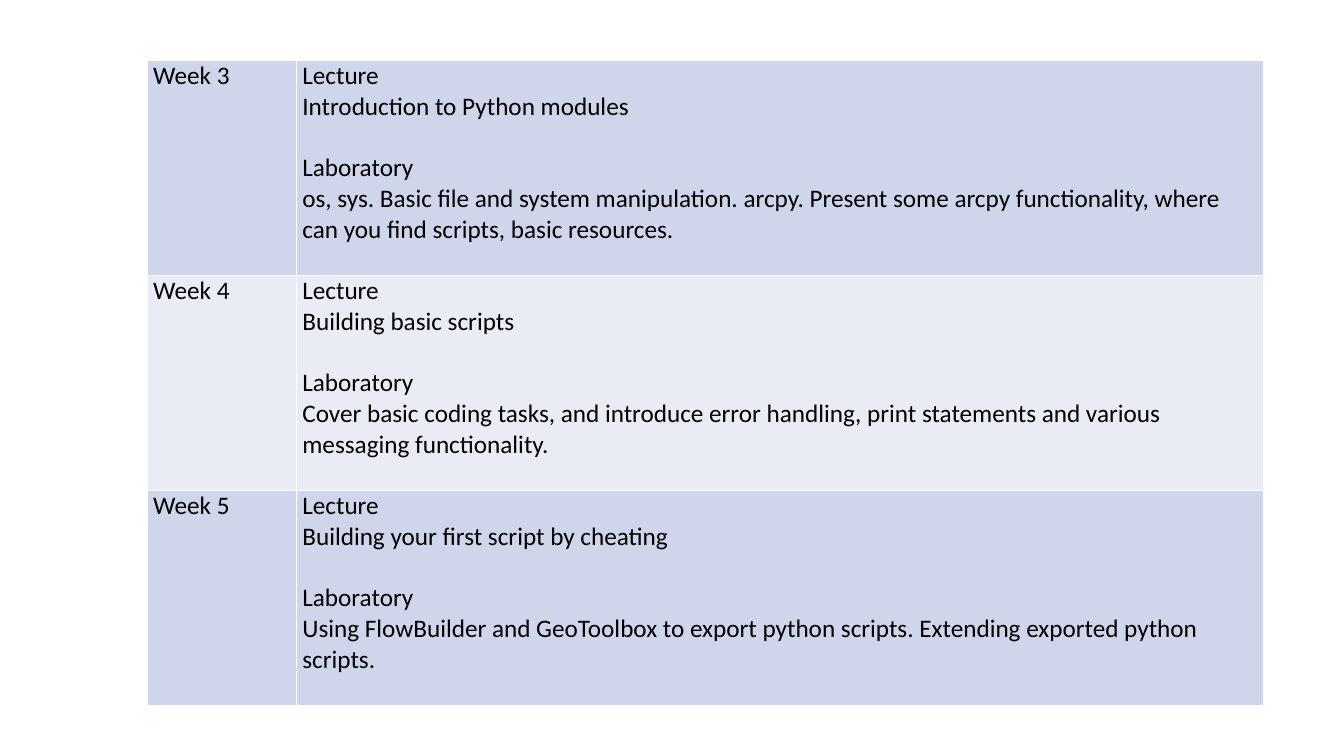
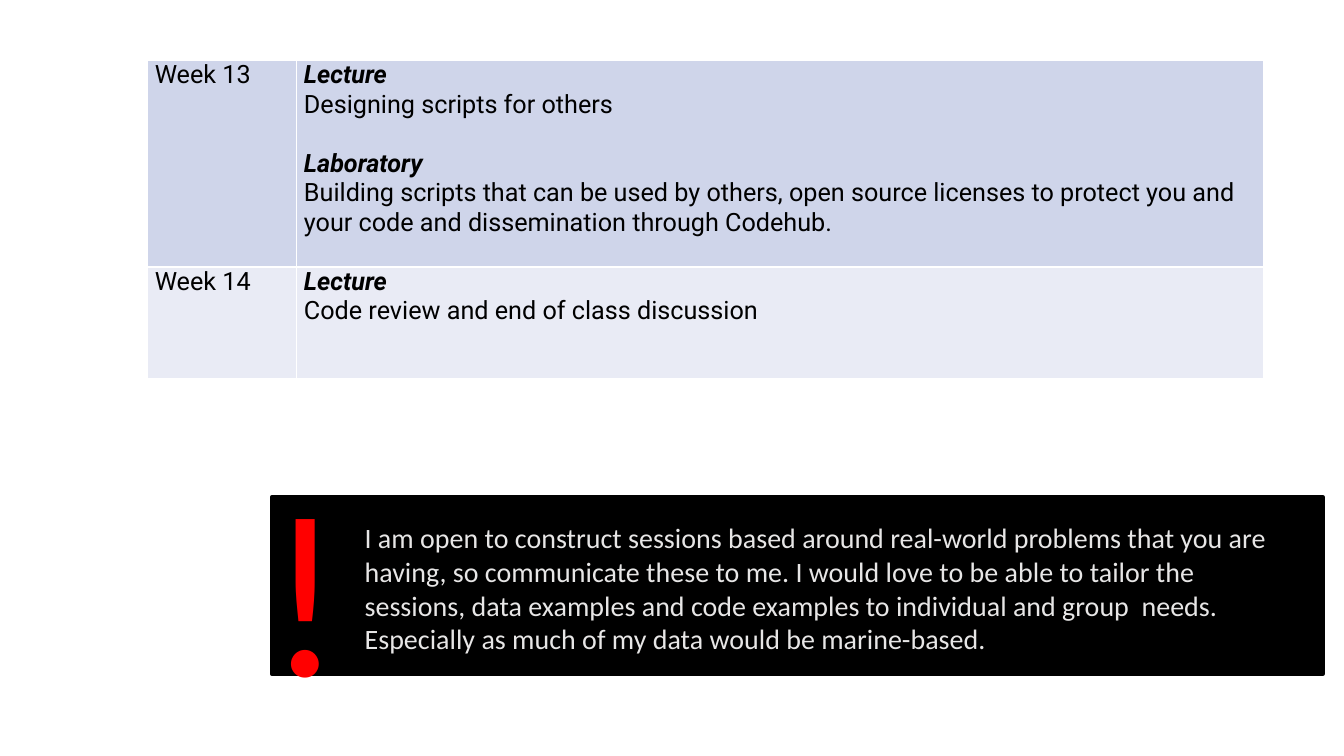
from dataclasses import dataclass

from lxml import etree
from pptx import Presentation
from pptx import util as u
from pptx.dml import color
from pptx.enum import shapes, text
from pptx.oxml import ns


# Theme: colours and type sizes
@dataclass(frozen=True)
class Theme:
    ink: str = "000000"
    rule: str = "FFFFFF"
    bands: tuple[str, str] = ("CFD5EA", "E9EBF5")
    notice_text: str = "E7E6E6"
    alert: str = "FF0000"
    notice_font: str = "Calibri"
    body_size: int = 18
    notice_size: int = 20
    alert_size: int = 166


@dataclass(frozen=True)
class Session:
    heading: str
    topic: str


@dataclass(frozen=True)
class Week:
    name: str
    sessions: tuple[Session, ...]
    height: float


@dataclass(frozen=True)
class ScheduleStyle:
    font: str
    inset: float
    session_gap: float
    strong_headings: bool


@dataclass(frozen=True)
class Box:
    left: float
    top: float
    width: float
    height: float


THEME = Theme()
SCHEDULE_LEFT, SCHEDULE_TOP = 3.71, 1.52
COLUMNS = (3.76, 24.38)

PLAIN = ScheduleStyle("Calibri", 0.15, 22, False)
STRONG = ScheduleStyle("Roboto", 0.19, 21.1, True)

# Course content
EARLY_WEEKS = (
    Week("Week 3", (
        Session("Lecture", "Introduction to Python modules"),
        Session("Laboratory", "os, sys. Basic file and system manipulation. arcpy. Present some "
                "arcpy functionality, where can you find scripts, basic resources."),
    ), 5.42),
    Week("Week 4", (
        Session("Lecture", "Building basic scripts"),
        Session("Laboratory", "Cover basic coding tasks, and introduce error handling, print "
                "statements and various messaging functionality."),
    ), 5.42),
    Week("Week 5", (
        Session("Lecture", "Building your first script by cheating"),
        Session("Laboratory", "Using FlowBuilder and GeoToolbox to export python scripts. "
                "Extending exported python scripts."),
    ), 5.42),
)
FINAL_WEEKS = (
    Week("Week 13", (
        Session("Lecture", "Designing scripts for others"),
        Session("Laboratory", "Building scripts that can be used by others, open source licenses "
                "to protect you and your code and dissemination through Codehub."),
    ), 5.21),
    Week("Week 14", (Session("Lecture", "Code review and end of class discussion"),), 2.82),
)
NOTICE = (
    "I am open to construct sessions based around real-world problems that you are having, "
    "so communicate these to me. I would love to be able to tailor the sessions, data examples "
    "and code examples to individual and group  needs. Especially as much of my data would be "
    "marine-based."
)


def rgb(value: str) -> color.RGBColor:
    return color.RGBColor.from_string(value)


def add_run(paragraph, words: str, font: str, size: float, ink: str, strong: bool = False) -> None:
    run = paragraph.add_run()
    run.text = words
    run.font.name = font
    run.font.size = u.Pt(size)
    run.font.bold = run.font.italic = strong
    run.font.color.rgb = rgb(ink)


# Schedule table
def style_cell(cell, fill: str, inset: float) -> None:
    cell.fill.solid()
    cell.fill.fore_color.rgb = rgb(fill)
    cell.margin_left = cell.margin_right = u.Cm(inset)
    cell.margin_top = cell.margin_bottom = 0
    properties = cell._tc.get_or_add_tcPr()
    for position, side in enumerate(("a:lnL", "a:lnR", "a:lnT", "a:lnB")):
        border = etree.Element(ns.qn(side), w=str(u.Pt(1)))
        border_fill = etree.SubElement(border, ns.qn("a:solidFill"))
        etree.SubElement(border_fill, ns.qn("a:srgbClr"), val=THEME.rule)
        properties.insert(position, border)


def write_sessions(frame, sessions: tuple[Session, ...], style: ScheduleStyle) -> None:
    for index, session in enumerate(sessions):
        heading = frame.add_paragraph() if index else frame.paragraphs[0]
        if index:
            heading.space_before = u.Pt(style.session_gap)
        add_run(heading, session.heading, style.font, THEME.body_size, THEME.ink,
                style.strong_headings)
        add_run(frame.add_paragraph(), session.topic, style.font, THEME.body_size, THEME.ink)


def add_schedule(slide, weeks: tuple[Week, ...], style: ScheduleStyle) -> None:
    schedule = slide.shapes.add_table(
        len(weeks), len(COLUMNS), u.Cm(SCHEDULE_LEFT), u.Cm(SCHEDULE_TOP),
        u.Cm(sum(COLUMNS)), u.Cm(sum(week.height for week in weeks))).table
    schedule.first_row = schedule.horz_banding = False
    for column, width in zip(schedule.columns, COLUMNS):
        column.width = u.Cm(width)
    for index, week in enumerate(weeks):
        schedule.rows[index].height = u.Cm(week.height)
        week_cell, sessions_cell = schedule.rows[index].cells
        for cell in (week_cell, sessions_cell):
            style_cell(cell, THEME.bands[index % len(THEME.bands)], style.inset)
        add_run(week_cell.text_frame.paragraphs[0], week.name, style.font,
                THEME.body_size, THEME.ink)
        write_sessions(sessions_cell.text_frame, week.sessions, style)


# Notice below the schedule
def add_panel(slide, box: Box) -> None:
    panel = slide.shapes.add_shape(
        shapes.MSO_SHAPE.RECTANGLE, u.Cm(box.left), u.Cm(box.top),
        u.Cm(box.width), u.Cm(box.height))
    panel.shadow.inherit = False
    panel.fill.solid()
    panel.fill.fore_color.rgb = rgb(THEME.ink)
    panel.line.color.rgb = rgb(THEME.ink)
    panel.line.width = u.Pt(3)


def add_label(slide, box: Box, words: str, size: float, ink: str, wrap: bool) -> None:
    label = slide.shapes.add_textbox(
        u.Cm(box.left), u.Cm(box.top), u.Cm(box.width), u.Cm(box.height))
    frame = label.text_frame
    frame.word_wrap = wrap
    frame.auto_size = text.MSO_AUTO_SIZE.SHAPE_TO_FIT_TEXT
    add_run(frame.paragraphs[0], words, THEME.notice_font, size, ink)


def add_notice(slide) -> None:
    add_panel(slide, Box(6.86, 12.52, 26.47, 4.47))
    add_label(slide, Box(8.94, 13, 23.98, 4.45), NOTICE,
              THEME.notice_size, THEME.notice_text, True)
    add_label(slide, Box(6.5, 11.07, 2.44, 7.34), "!",
              THEME.alert_size, THEME.alert, False)


def main() -> None:
    deck = Presentation()
    deck.slide_width, deck.slide_height = u.Cm(33.87), u.Cm(19.05)
    blank = deck.slide_layouts[6]

    # Weeks 3 to 5
    add_schedule(deck.slides.add_slide(blank), EARLY_WEEKS, PLAIN)

    # Weeks 13 and 14, with the notice
    closing = deck.slides.add_slide(blank)
    add_schedule(closing, FINAL_WEEKS, STRONG)
    add_notice(closing)

    deck.save("out.pptx")


if __name__ == "__main__":
    main()
